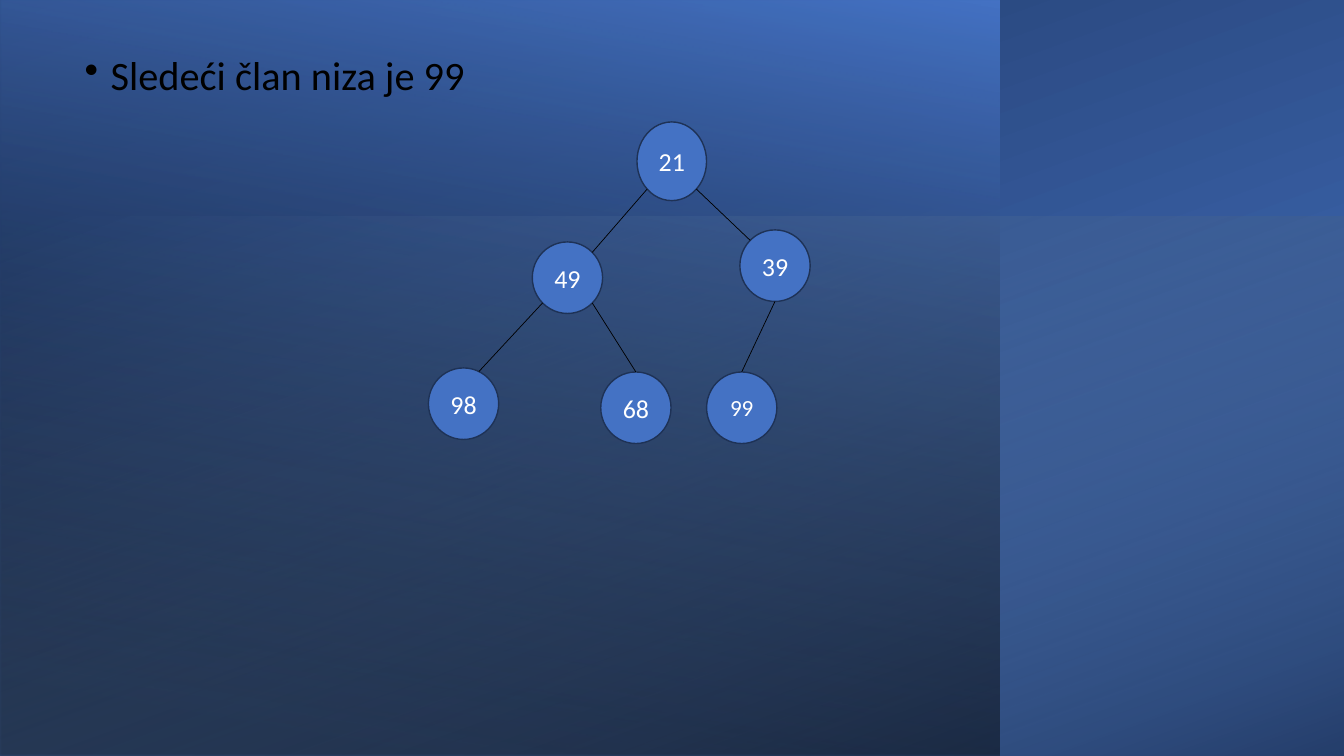
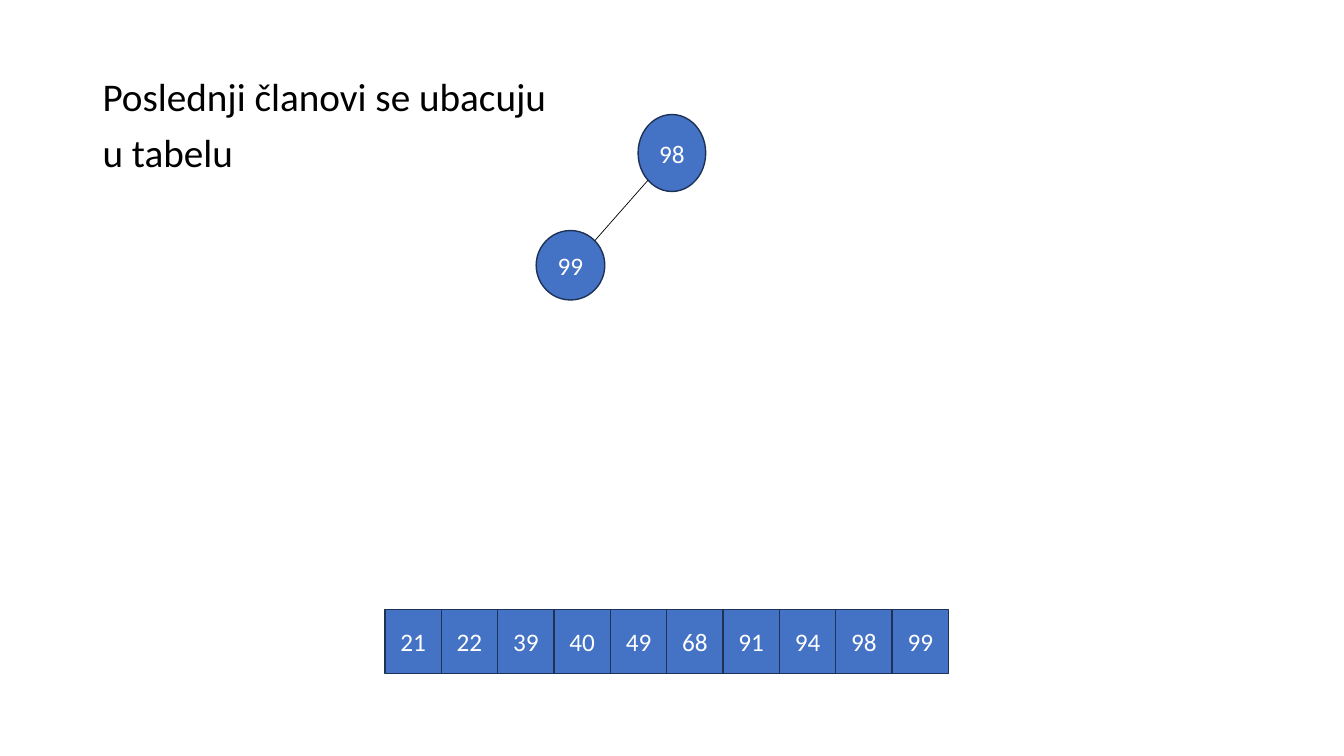
from math import cos, radians, sin

from lxml import etree
from pptx import Presentation
from pptx.dml.color import RGBColor
from pptx.enum.shapes import MSO_CONNECTOR, MSO_SHAPE
from pptx.enum.text import MSO_ANCHOR, PP_ALIGN
from pptx.oxml import parse_xml
from pptx.oxml.ns import qn
from pptx.util import Pt

OVAL, RECT = MSO_SHAPE.OVAL, MSO_SHAPE.RECTANGLE
STRAIGHT = MSO_CONNECTOR.STRAIGHT
MIDDLE, TOP = MSO_ANCHOR.MIDDLE, MSO_ANCHOR.TOP
CENTER, LEFT = PP_ALIGN.CENTER, PP_ALIGN.LEFT

COLORS = {
    "blue": "4472C4",
    "navy": "203864",
    "sky": "9DC3E6",
    "outline": "1E3256",
    "black": "000000",
    "white": "FFFFFF",
}
FONT = "Calibri"
SLIDE_W, SLIDE_H = 960, 540
DRAWING_NS = "http://schemas.openxmlformats.org/drawingml/2006/main"

CELL_W, CELL_H, CELL_PITCH = 40.3, 45.4, 40.25
ROW_LEFT, ROW_TOP = 275, 435.6
SORTED_VALUES = (21, 22, 39, 40, 49, 68, 91, 94, 98, 99)

HEAP_NODES = {
    21: (455, 87.1, 49.7, 56.2, 18.5),
    39: (528.5, 164.2, 50.2, 51.1, 18.5),
    49: (380.2, 172.8, 50.2, 51.1, 18.5),
    98: (306, 262.8, 50.2, 51.1, 18.5),
    68: (429.1, 265.7, 50.2, 51.1, 18.5),
    99: (504.7, 265.7, 50.2, 51.1, 16.5),
}
HEAP_EDGES = (
    (21, 45, 39, 225),
    (21, 135, 49, 315),
    (49, 135, 98, 296),
    (49, 45, 68, 270),
    (39, 90, 99, 270),
)
LAST_NODES = {
    98: (455.8, 81.8, 48.3, 55, 18),
    99: (383, 164.7, 49, 49.6, 18),
}
LAST_EDGES = ((98, 135, 99, 315),)


def rgb(name):
    return RGBColor.from_string(COLORS[name])


def write_text(shape, text, size, color="black", align=LEFT, anchor=TOP,
               before=0, after=0, spacing=1.0, bullet_indent=0):
    frame = shape.text_frame
    frame.word_wrap = True
    frame.vertical_anchor = anchor
    frame.text = text
    for paragraph in frame.paragraphs:
        paragraph.alignment = align
        paragraph.space_before, paragraph.space_after = Pt(before), Pt(after)
        paragraph.line_spacing = spacing
        font = paragraph.runs[0].font
        font.name, font.size = FONT, Pt(size)
        font.color.rgb = rgb(color)
        if bullet_indent:
            properties = paragraph._p.get_or_add_pPr()
            properties.set("marL", str(Pt(bullet_indent)))
            properties.set("indent", str(-Pt(bullet_indent)))
            bullet = etree.SubElement(properties, qn("a:buChar"))
            bullet.set("char", "•")


def add_body(slide, left, top, width, height, text, size, **text_format):
    body = slide.shapes.add_textbox(Pt(left), Pt(top), Pt(width), Pt(height))
    write_text(body, text, size, spacing=0.9, **text_format)


def add_value(slide, preset, value, left, top, width, height, size, after=0):
    box = slide.shapes.add_shape(preset, Pt(left), Pt(top), Pt(width), Pt(height))
    box.shadow.inherit = False
    box.fill.solid()
    box.fill.fore_color.rgb = rgb("blue")
    box.line.color.rgb = rgb("outline")
    box.line.width = Pt(1)
    write_text(box, str(value), size, color="white", align=CENTER,
               anchor=MIDDLE, after=after)


def rim_point(node, angle):
    left, top, width, height = node[:4]
    x = left + width / 2 * (1 + cos(radians(angle)))
    y = top + height / 2 * (1 + sin(radians(angle)))
    return Pt(x), Pt(y)


def add_edge(slide, start, end):
    edge = slide.shapes.add_connector(STRAIGHT, *start, *end)
    edge.line.color.rgb = rgb("black")
    edge.line.width = Pt(0.5)
    etree.SubElement(edge.element.spPr, qn("a:effectLst"))


def add_tree(slide, nodes, edges, after=0):
    for value, (left, top, width, height, size) in nodes.items():
        add_value(slide, OVAL, value, left, top, width, height, size, after)
    for parent, parent_angle, child, child_angle in edges:
        add_edge(slide, rim_point(nodes[parent], parent_angle),
                 rim_point(nodes[child], child_angle))


def add_gradient_panel(slide, left, top, width, height, rotation, angle, stops):
    panel = slide.shapes.add_shape(RECT, Pt(left), Pt(top), Pt(width), Pt(height))
    panel.rotation = rotation
    properties = panel.element.spPr
    properties.get_or_add_xfrm().set("flipH", "1")
    stop_xml = "".join(
        f'<a:gs pos="{position * 1000}"><a:srgbClr val="{COLORS[color]}">'
        f'<a:alpha val="{opacity * 1000}"/></a:srgbClr></a:gs>'
        for position, color, opacity in stops
    )
    properties.append(parse_xml(
        f'<a:gradFill xmlns:a="{DRAWING_NS}" rotWithShape="1">'
        f'<a:gsLst>{stop_xml}</a:gsLst>'
        f'<a:lin ang="{angle * 60000}" scaled="0"/></a:gradFill>'
    ))
    panel.line.fill.background()
    panel.shadow.inherit = False


def add_backdrop(slide):
    add_gradient_panel(slide, 210, -210, SLIDE_H, SLIDE_W, 270, 200,
                       ((8, "blue", 100), (100, "navy", 100)))
    add_gradient_panel(slide, 0, 0, 714.2, SLIDE_H, 180, 80,
                       ((8, "black", 52), (100, "blue", 100)))
    add_gradient_panel(slide, 287.3, -132.7, 385.4, SLIDE_W, 270, 20,
                       ((0, "sky", 0), (100, "black", 46)))


def build_heap_slide(slide):
    add_backdrop(slide)
    add_body(slide, 53.3, 36, 853.2, 468, "Sledeći član niza je 99", 28.8,
             before=10.3, bullet_indent=18.7)
    add_tree(slide, HEAP_NODES, HEAP_EDGES, after=6)


def build_sorted_slide(slide):
    add_body(slide, 66.2, 51.8, 828, 434.9,
             "Poslednji članovi se ubacuju\nu tabelu", 28, before=10)
    for index, value in enumerate(SORTED_VALUES):
        add_value(slide, RECT, value, ROW_LEFT + index * CELL_PITCH, ROW_TOP,
                  CELL_W, CELL_H, 18)
    add_tree(slide, LAST_NODES, LAST_EDGES)


def main():
    deck = Presentation()
    deck.slide_width, deck.slide_height = Pt(SLIDE_W), Pt(SLIDE_H)
    blank = deck.slide_layouts[6]
    for build in (build_heap_slide, build_sorted_slide):
        build(deck.slides.add_slide(blank))
    deck.save("out.pptx")


if __name__ == "__main__":
    main()
